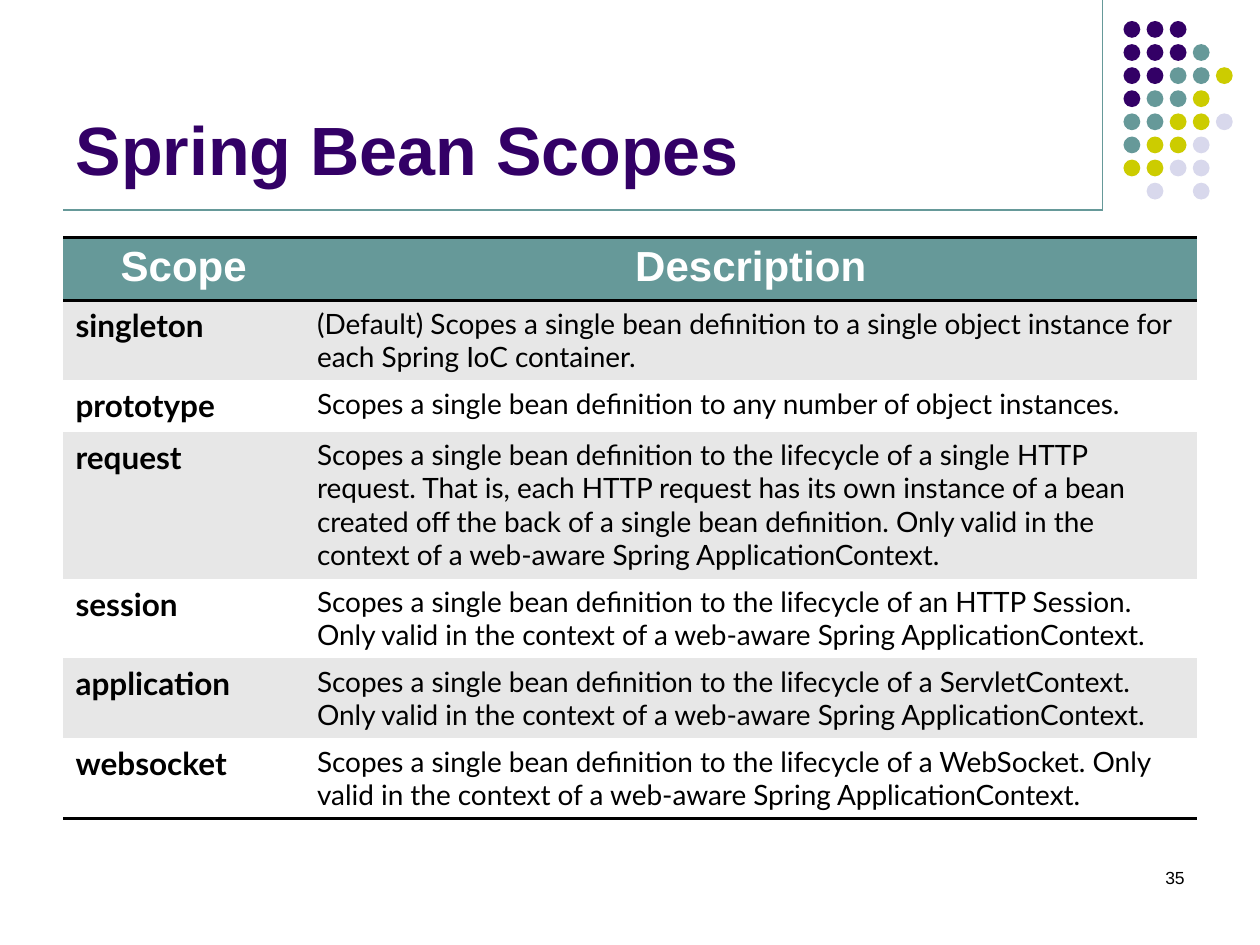
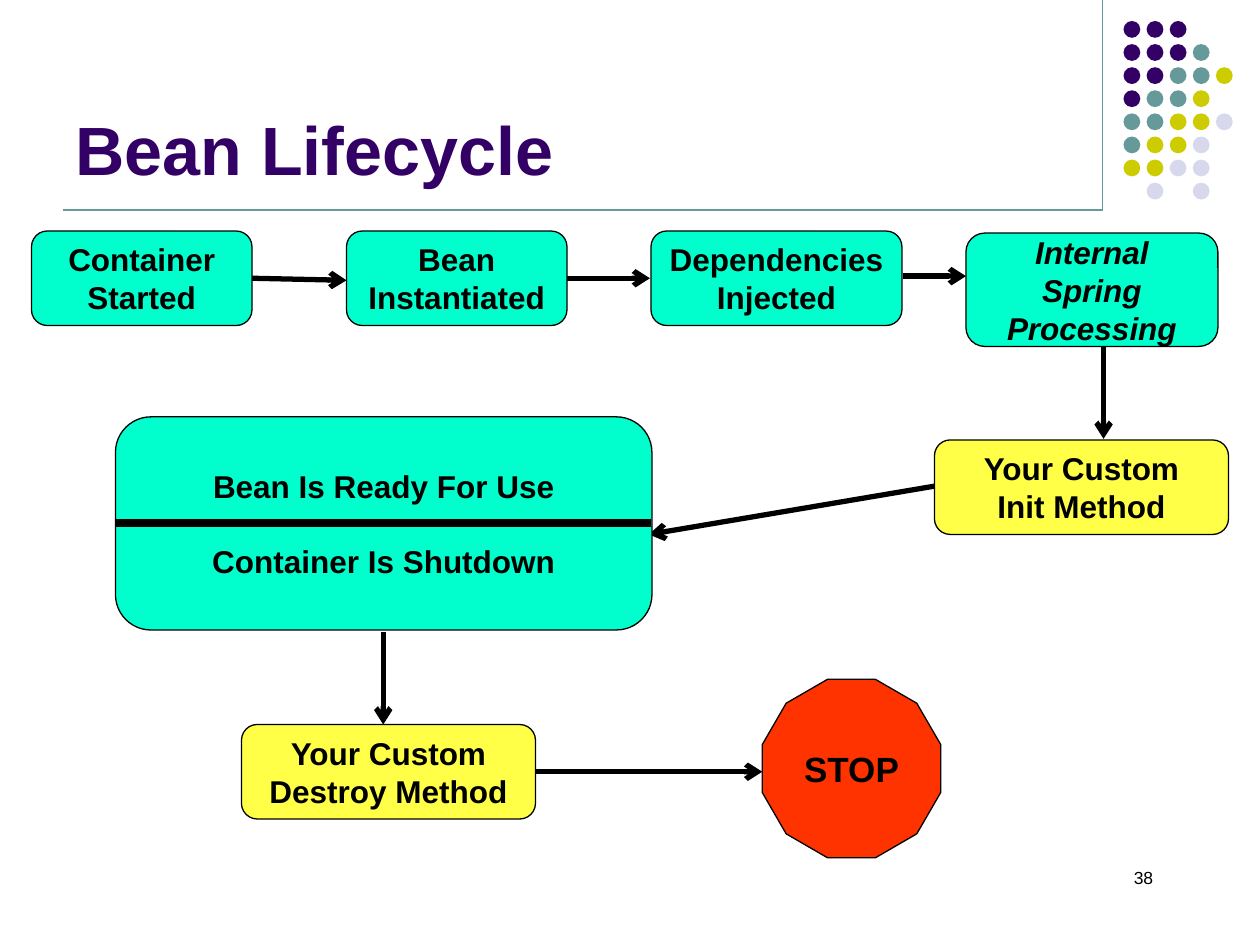
from dataclasses import dataclass

from lxml import etree
from pptx import Presentation
from pptx import util as u
from pptx.dml.color import RGBColor
from pptx.enum import shapes, text
from pptx.oxml import ns, parse_xml


@dataclass(frozen=True)
class Theme:
    purple: str = "330066"
    teal: str = "669999"
    olive: str = "CCCC00"
    lilac: str = "D8D8EC"
    mint: str = "00FFCC"
    yellow: str = "FFFF47"
    red: str = "FF3300"
    band: str = "E7E7E7"
    white: str = "FFFFFF"
    black: str = "000000"
    heading_font: str = "Arial"
    table_font: str = "Lato"
    title_size: int = 39
    header_size: int = 24
    stop_size: int = 20
    label_size: int = 18
    description_size: int = 16
    page_size: int = 10


theme = Theme()
px = u.Inches(1) // 120
rgb = RGBColor.from_string
align = text.PP_ALIGN


def write(frame, lines, size, color=theme.black, alignment=align.LEFT, gap=0, **font_format):
    font_format = {"name": theme.heading_font, "size": u.Pt(size), **font_format}
    frame.word_wrap = True
    for number, line in enumerate(lines):
        paragraph = frame.add_paragraph() if number else frame.paragraphs[0]
        paragraph.alignment = alignment
        paragraph.space_before = u.Pt(gap if number else 0)
        run = paragraph.add_run()
        run.text = line
        run.font.color.rgb = rgb(color)
        for attribute, value in font_format.items():
            setattr(run.font, attribute, value)


def draw_line(canvas, ends, color, width, arrow=False):
    line = canvas.add_connector(shapes.MSO_CONNECTOR.STRAIGHT, *(n * px for n in ends))
    line.line.color.rgb = rgb(color)
    line.line.width = u.Pt(width)
    properties = line.element.spPr
    if arrow:
        tail = etree.SubElement(line.line._get_or_add_ln(), ns.qn("a:tailEnd"))
        tail.set("type", "arrow")
    etree.SubElement(properties, ns.qn("a:effectLst"))
    return line


deck = Presentation()
deck.slide_width, deck.slide_height = 1200 * px, 900 * px
layout = deck.slide_layouts[5]
for placeholder in list(layout.placeholders)[1:]:
    placeholder.element.getparent().remove(placeholder.element)

pages = []
for heading, page_number, page_left in (
    ("Spring Bean Scopes", "35", 860),
    ("Bean Lifecycle", "38", 830),
):
    slide = deck.slides.add_slide(layout)
    title = slide.shapes.title
    title.left, title.top, title.width, title.height = (n * px for n in (60, 16, 990, 170))
    title.text_frame.auto_size = text.MSO_AUTO_SIZE.NONE
    title.text_frame.vertical_anchor = text.MSO_ANCHOR.BOTTOM
    write(title.text_frame, [heading], theme.title_size, theme.purple, bold=True)
    pages.append((slide, page_number, page_left))

scopes_slide, lifecycle_slide = (page[0] for page in pages)

dot_colors = {"P": theme.purple, "T": theme.teal, "O": theme.olive, "L": theme.lilac}
dot_rows = ("PPP", "PPPT", "PPTTO", "PTTO", "TTOOL", "TOOL", "OOLL", " L L")
dot_size, dot_pitch = 16, 22
frame_parts = [
    draw_line(scopes_slide.shapes, ends, theme.teal, 0.75)
    for ends in ((1050, 0, 1050, 200), (60, 200, 1050, 200))
]
dots = scopes_slide.shapes.add_group_shape()
for row, codes in enumerate(dot_rows):
    for column, code in enumerate(codes):
        if code in dot_colors:
            dot = dots.shapes.add_shape(
                shapes.MSO_SHAPE.OVAL,
                (1070 + column * dot_pitch) * px, (20 + row * dot_pitch) * px,
                dot_size * px, dot_size * px,
            )
            dot.shadow.inherit = False
            dot.fill.solid()
            dot.fill.fore_color.rgb = rgb(dot_colors[code])
            dot.line.fill.background()
for part in [*frame_parts, dots]:
    layout.shapes.element.append(part.element)

for slide, page_number, page_left in pages:
    page_box = slide.shapes.add_textbox(page_left * px, 820 * px, 280 * px, 60 * px)
    write(page_box.text_frame, [page_number], theme.page_size, alignment=align.RIGHT)

scope_rows = (
    ("Scope", "Description"),
    ("singleton", "(Default) Scopes a single bean definition to a single object instance for "
     "each Spring IoC container."),
    ("prototype", "Scopes a single bean definition to any number of object instances."),
    ("request", "Scopes a single bean definition to the lifecycle of a single HTTP request. "
     "That is, each HTTP request has its own instance of a bean created off the back of a "
     "single bean definition. Only valid in the context of a web-aware "
     "Spring ApplicationContext."),
    *((scope, f"Scopes a single bean definition to the lifecycle of {owner}. Only valid in the "
       "context of a web-aware Spring ApplicationContext.")
      for scope, owner in (
          ("session", "an HTTP Session"),
          ("application", "a ServletContext"),
          ("websocket", "a WebSocket"),
      )),
)
row_heights = (56, 76, 49, 139, 76, 76, 76)
column_formats = (
    {"size": theme.label_size, "bold": True, "name": theme.table_font},
    {"size": theme.description_size, "bold": False, "name": theme.table_font},
)
header_format = {"size": theme.header_size, "color": theme.white, "bold": True,
                 "alignment": align.CENTER}
scope_frame = scopes_slide.shapes.add_table(
    len(scope_rows), 2, 60 * px, 226 * px, 1080 * px, sum(row_heights) * px)
scope_frame.element.find(".//{*}tableStyleId").text = "{2D5ABB26-0587-4C30-8999-92F81FD0307C}"
scope_table = scope_frame.table
scope_table.horz_banding = False
for column, width in zip(scope_table.columns, (230, 850)):
    column.width = width * px
for row, (cells, height) in enumerate(zip(scope_rows, row_heights)):
    scope_table.rows[row].height = height * px
    for column, words in enumerate(cells):
        cell = scope_table.cell(row, column)
        cell.fill.solid()
        band = theme.band if row % 2 else theme.white
        cell.fill.fore_color.rgb = rgb(band if row else theme.teal)
        write(cell.text_frame, [words], **(column_formats[column] if row else header_format))
        edges = {0: ("lnB", "lnT"), len(scope_rows) - 1: ("lnB",)}.get(row, ())
        for edge in edges:
            cell._tc.get_or_add_tcPr().insert(0, parse_xml(
                f'<a:{edge} {ns.nsdecls("a")} w="{u.Pt(2)}"><a:solidFill>'
                f'<a:srgbClr val="{theme.black}"/></a:solidFill></a:{edge}>'))

for step_arrow in (
    (240, 265, 330, 267),
    (540, 265, 619, 265),
    (860, 263, 920, 263),
    (1051, 330, 1051, 418),
    (890, 463, 618, 509),
    (365, 602, 365, 690),
    (510, 735, 726, 735),
):
    draw_line(lifecycle_slide.shapes, step_arrow, theme.black, 3, arrow=True)

rounded = shapes.MSO_SHAPE.ROUNDED_RECTANGLE
for place, outline, color, lines, extra in (
    ((30, 220, 210, 90), rounded, theme.mint, ["Container Started"], {}),
    ((330, 220, 210, 90), rounded, theme.mint, ["Bean", "Instantiated"], {}),
    ((620, 220, 239, 90), rounded, theme.mint, ["Dependencies", "Injected"], {}),
    ((920, 222, 240, 108), rounded, theme.mint, ["Internal Spring", "Processing"],
     {"italic": True}),
    ((890, 419, 280, 90), rounded, theme.yellow, ["Your Custom", "Init Method"], {}),
    ((110, 397, 511, 203), rounded, theme.mint,
     ["Bean Is Ready For Use", "Container Is Shutdown"], {"gap": 21}),
    ((230, 690, 280, 90), rounded, theme.yellow, ["Your Custom", "Destroy Method"], {}),
    ((726, 647, 170, 170), shapes.MSO_SHAPE.DODECAGON, theme.red, ["STOP"],
     {"size": theme.stop_size}),
):
    step = lifecycle_slide.shapes.add_shape(outline, *(n * px for n in place))
    step.shadow.inherit = False
    step.fill.solid()
    step.fill.fore_color.rgb = rgb(color)
    step.line.color.rgb = rgb(theme.black)
    step.line.width = u.Pt(0.75)
    step.text_frame.vertical_anchor = text.MSO_ANCHOR.MIDDLE
    label_format = {"size": theme.label_size, "alignment": align.CENTER, "bold": True, **extra}
    write(step.text_frame, lines, **label_format)

draw_line(lifecycle_slide.shapes, (110, 498, 620, 498), theme.black, 4.5)

deck.save("out.pptx")
